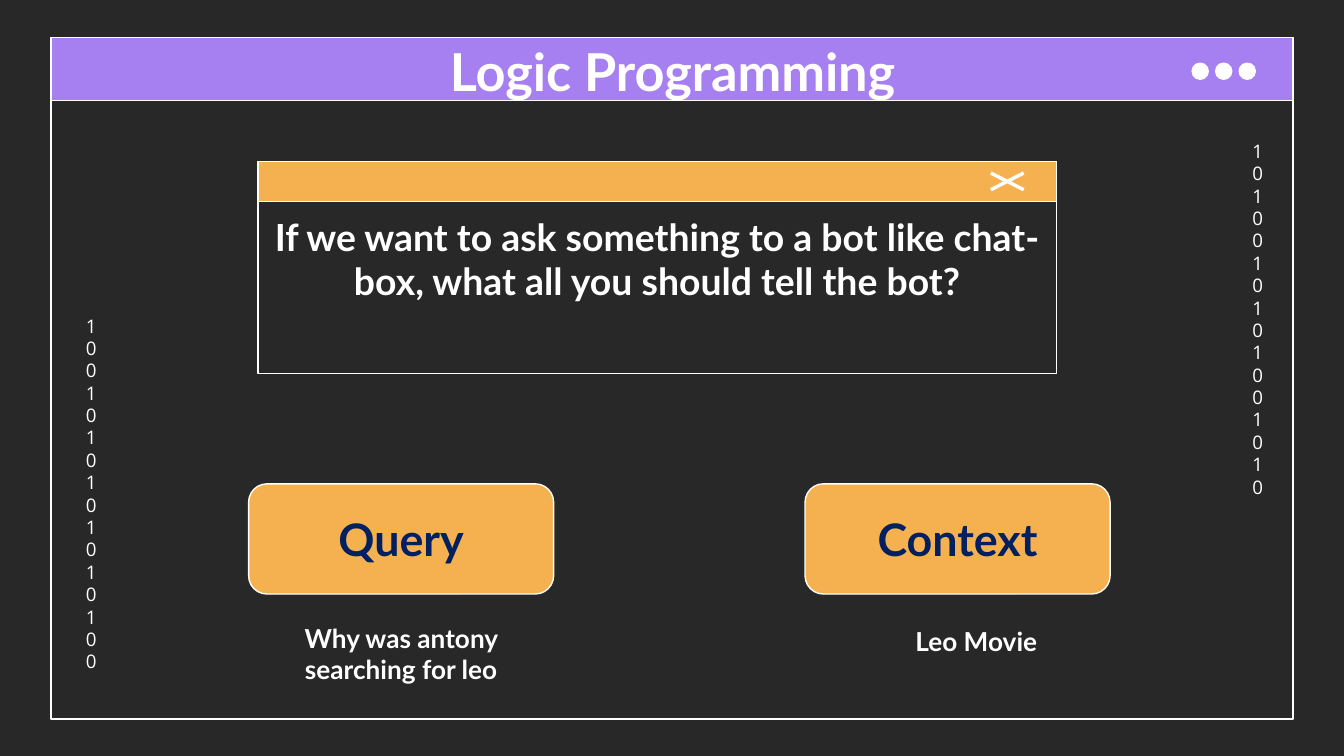
from pptx import Presentation
from pptx.dml.color import RGBColor
from pptx.enum.shapes import MSO_SHAPE
from pptx.enum.text import MSO_ANCHOR, PP_ALIGN
from pptx.util import Inches, Pt

RECT, ROUND = MSO_SHAPE.RECTANGLE, MSO_SHAPE.ROUNDED_RECTANGLE
OVAL, CROSS = MSO_SHAPE.OVAL, MSO_SHAPE.MATH_MULTIPLY
TOP, MIDDLE = MSO_ANCHOR.TOP, MSO_ANCHOR.MIDDLE
CENTER = PP_ALIGN.CENTER

COLORS = {"back": "292828", "bar": "A67FF1", "gold": "F5B150",
          "white": "FFFFFF", "navy": "002060"}
W = 10
H = W * 9 / 16

TITLE = "Logic Programming"
ASK = "If we want to ask something to a bot like chat-box, what all you should tell the bot?"
# digits, left, top
BITS = [("1010010101001010", 9.22, 0.94), ("1001010101010100", 0.54, 2.24)]
# label, card left, note, note left, note top
CARDS = [("Query", 1.85, "Why was antony searching for leo", 1.85, 4.53),
         ("Context", 5.99, "Leo Movie", 6.13, 4.55)]

EDGE, ROOF = 0.38, 0.28      # window margins
WIDE = W - 2 * EDGE
CARD_W, CARD_H, CARD_Y = 2.27, 0.82, 3.6
BOX_X, BOX_Y, BOX_W = 1.92, 1.2, 5.94
DOT_X, DOT_END, DOT = 8.87, 9.22, 0.12
STEP = (DOT_END - DOT_X) / 2

deck = Presentation()
deck.slide_width, deck.slide_height = Inches(W), Inches(H)
slide = deck.slides.add_slide(deck.slide_layouts[6])


def color(name):
    return RGBColor.from_string(COLORS[name])


slide.background.fill.solid()
slide.background.fill.fore_color.rgb = color("back")


def draw(kind, x, y, w, h, fill=None, line=True):
    shape = slide.shapes.add_shape(kind, *map(Inches, (x, y, w, h)))
    shape.shadow.inherit = False
    if fill:
        shape.fill.solid()
        shape.fill.fore_color.rgb = color(fill)
    else:
        shape.fill.background()
    if line:
        shape.line.color.rgb = color("white")
        shape.line.width = Pt(0.75)
    else:
        shape.line.fill.background()
    return shape


def write(shape, text, size, tint="white", font="Lato", bold=True, anchor=TOP):
    frame = shape.text_frame
    frame.text = text
    frame.word_wrap = True
    frame.vertical_anchor = anchor
    frame.margin_left = frame.margin_right = Inches(0.1)
    frame.margin_top = frame.margin_bottom = Inches(0.1)
    para = frame.paragraphs[0]
    para.alignment = CENTER
    for run in para.runs:
        run.font.name, run.font.size, run.font.bold = font, Pt(size), bold
        run.font.color.rgb = color(tint)
    return para


def label(text, x, y, w, h, size, **look):
    box = slide.shapes.add_textbox(*map(Inches, (x, y, w, h)))
    return write(box, text, size, **look)


# Window
draw(RECT, EDGE, ROOF, WIDE, 5.07)
draw(RECT, EDGE, ROOF, WIDE, 0.47, "bar")
for i in range(3):
    draw(OVAL, DOT_X + i * STEP, 0.47, DOT, DOT, "white")
for text, x, y in BITS:
    para = label(text, x, y, 0.24, 2.8, 10, font="Open Sans", bold=False)
    para.line_spacing = Pt(12)
label(TITLE, 0.79, 0.19, 8.43, 0.63, 28)

# Question
label(ASK, BOX_X, 1.49, BOX_W, 1.4, 20)
draw(RECT, BOX_X, BOX_Y, BOX_W, 1.58)
draw(RECT, BOX_X, BOX_Y, BOX_W, 0.3, "gold")
cross = draw(CROSS, 7.26, 1.23, 0.47, 0.24, "white", line=False)
cross.adjustments[0] = 0.108

# Cards
for name, x, note, left, top in CARDS:
    card = draw(ROUND, x, CARD_Y, CARD_W, CARD_H, "gold")
    write(card, name, 24, tint="navy", anchor=MIDDLE)
    label(note, left, top, CARD_W, 0.69, 14)

deck.save("out.pptx")
